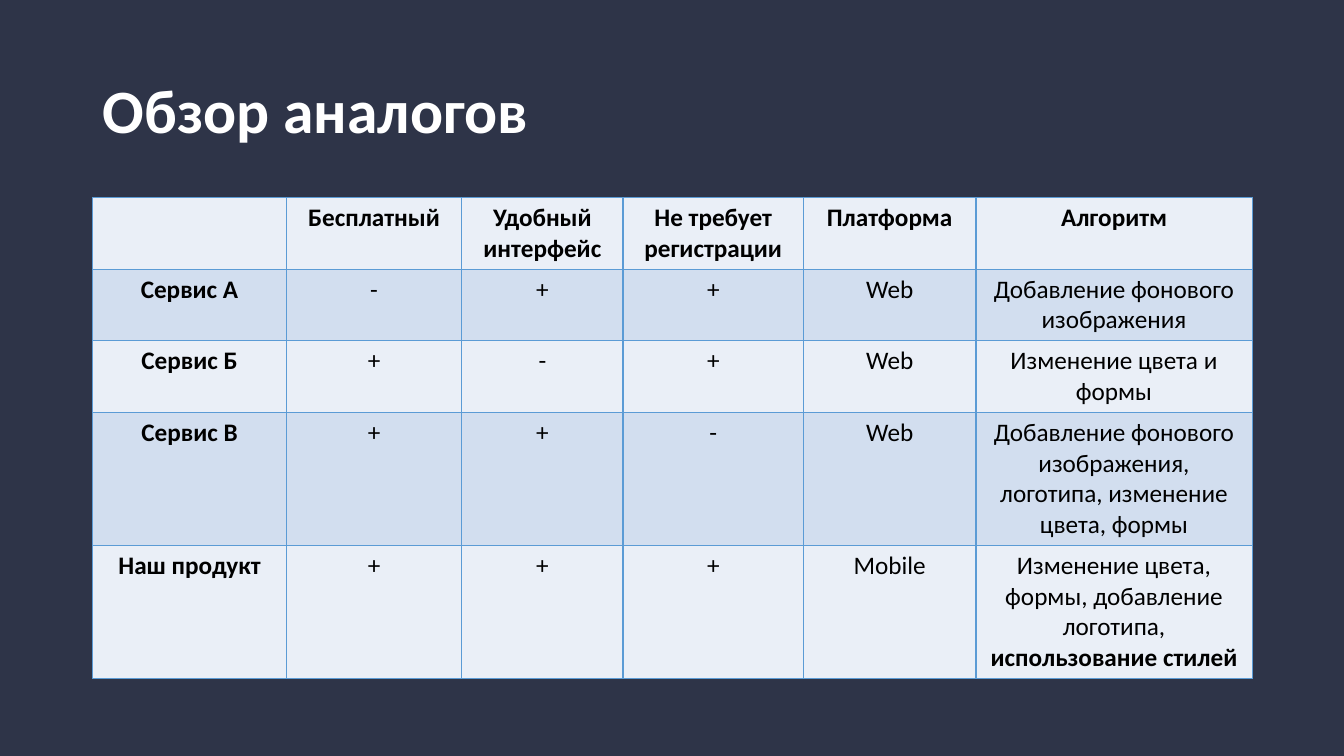
from lxml import etree
from pptx import Presentation
from pptx.dml.color import RGBColor
from pptx.enum.text import MSO_ANCHOR, PP_ALIGN
from pptx.oxml.ns import qn
from pptx.util import Inches, Pt

NAVY = RGBColor(0x2E, 0x34, 0x48)
WHITE = RGBColor(0xFF, 0xFF, 0xFF)
BLACK = RGBColor(0x00, 0x00, 0x00)
BORDER_BLUE = RGBColor(0x5B, 0x9B, 0xD5)
ROW_FILLS = (RGBColor(0xEA, 0xEF, 0xF7), RGBColor(0xD2, 0xDE, 0xEF))
LEFT, CENTER = PP_ALIGN.LEFT, PP_ALIGN.CENTER
MIDDLE = MSO_ANCHOR.MIDDLE

COLUMN_WIDTHS = (1.92, 1.74, 1.6, 1.79, 1.71, 2.74)
ROW_HEIGHTS = (0.71, 0.71, 0.71, 1.32, 1.32)
# A cell is a string, or a pair of regular text and its bold ending
COMPARISON = (
    ("", "Бесплатный", "Удобный интерфейс", "Не требует регистрации",
     "Платформа", "Алгоритм"),
    ("Сервис А", "-", "+", "+", "Web", "Добавление фонового изображения"),
    ("Сервис Б", "+", "-", "+", "Web", "Изменение цвета и формы"),
    ("Сервис В", "+", "+", "-", "Web",
     "Добавление фонового изображения, логотипа, изменение цвета, формы"),
    ("Наш продукт", "+", "+", "+", "Mobile",
     ("Изменение цвета, формы, добавление логотипа, ", "использование стилей")),
)


def add_text(paragraph, text, *, size=18, color=BLACK, bold=False, align=CENTER):
    paragraph.alignment = align
    run = paragraph.add_run()
    run.text = text
    run.font.name = "Calibri"
    run.font.size = Pt(size)
    run.font.bold = bold
    run.font.color.rgb = color


def set_borders(cell, color, width):
    properties = cell._tc.get_or_add_tcPr()
    for position, side in enumerate(("a:lnL", "a:lnR", "a:lnT", "a:lnB")):
        line = etree.Element(qn(side), w=str(Pt(width)))
        fill = etree.SubElement(line, qn("a:solidFill"))
        etree.SubElement(fill, qn("a:srgbClr"), val=str(color))
        properties.insert(position, line)


class SlideBuilder:
    def __init__(self, slide, background):
        self.slide = slide
        slide.background.fill.solid()
        slide.background.fill.fore_color.rgb = background

    def title(self, text, left, top, width, height):
        box = self.slide.shapes.add_textbox(
            Inches(left), Inches(top), Inches(width), Inches(height))
        frame = box.text_frame
        frame.word_wrap = True
        frame.vertical_anchor = MIDDLE
        heading = frame.paragraphs[0]
        heading.line_spacing = 0.9
        add_text(heading, text, size=44, color=WHITE, bold=True, align=LEFT)

    def table(self, rows, left, top, widths, heights):
        table = self.slide.shapes.add_table(
            len(rows), len(widths), Inches(left), Inches(top),
            Inches(sum(widths)), Inches(sum(heights))).table
        table.first_row = table.horz_banding = False
        for column, width in zip(table.columns, widths):
            column.width = Inches(width)
        for row, height in zip(table.rows, heights):
            row.height = Inches(height)
        for r, row in enumerate(rows):
            for c, content in enumerate(row):
                self.cell(table.cell(r, c), content, ROW_FILLS[r % 2],
                          bold=r == 0 or c == 0)

    def cell(self, cell, content, fill, bold):
        cell.fill.solid()
        cell.fill.fore_color.rgb = fill
        set_borders(cell, BORDER_BLUE, 1)
        paragraph = cell.text_frame.paragraphs[0]
        if isinstance(content, tuple):
            regular, emphasis = content
            add_text(paragraph, regular, bold=bold)
            add_text(paragraph, emphasis, bold=True)
        elif content:
            add_text(paragraph, content, bold=bold)


def main():
    presentation = Presentation()
    presentation.slide_width = Inches(13.33)
    presentation.slide_height = Inches(7.5)
    blank = presentation.slide_layouts[6]
    builder = SlideBuilder(presentation.slides.add_slide(blank), NAVY)

    # Heading
    builder.title("Обзор аналогов", 0.92, 0.4, 11.5, 1.45)
    # Comparison of products
    builder.table(COMPARISON, 0.92, 1.96, COLUMN_WIDTHS, ROW_HEIGHTS)

    presentation.save("out.pptx")


if __name__ == "__main__":
    main()
